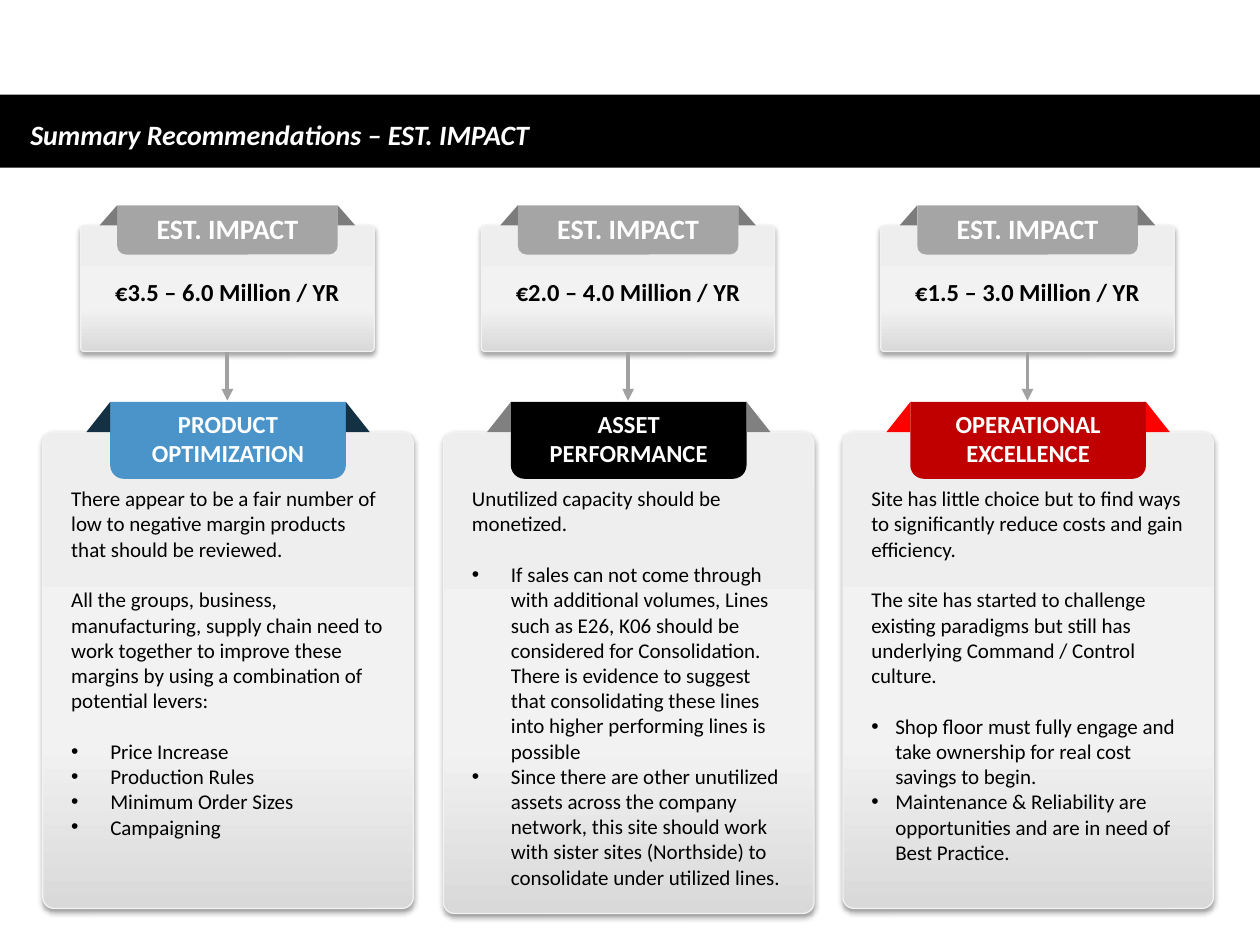
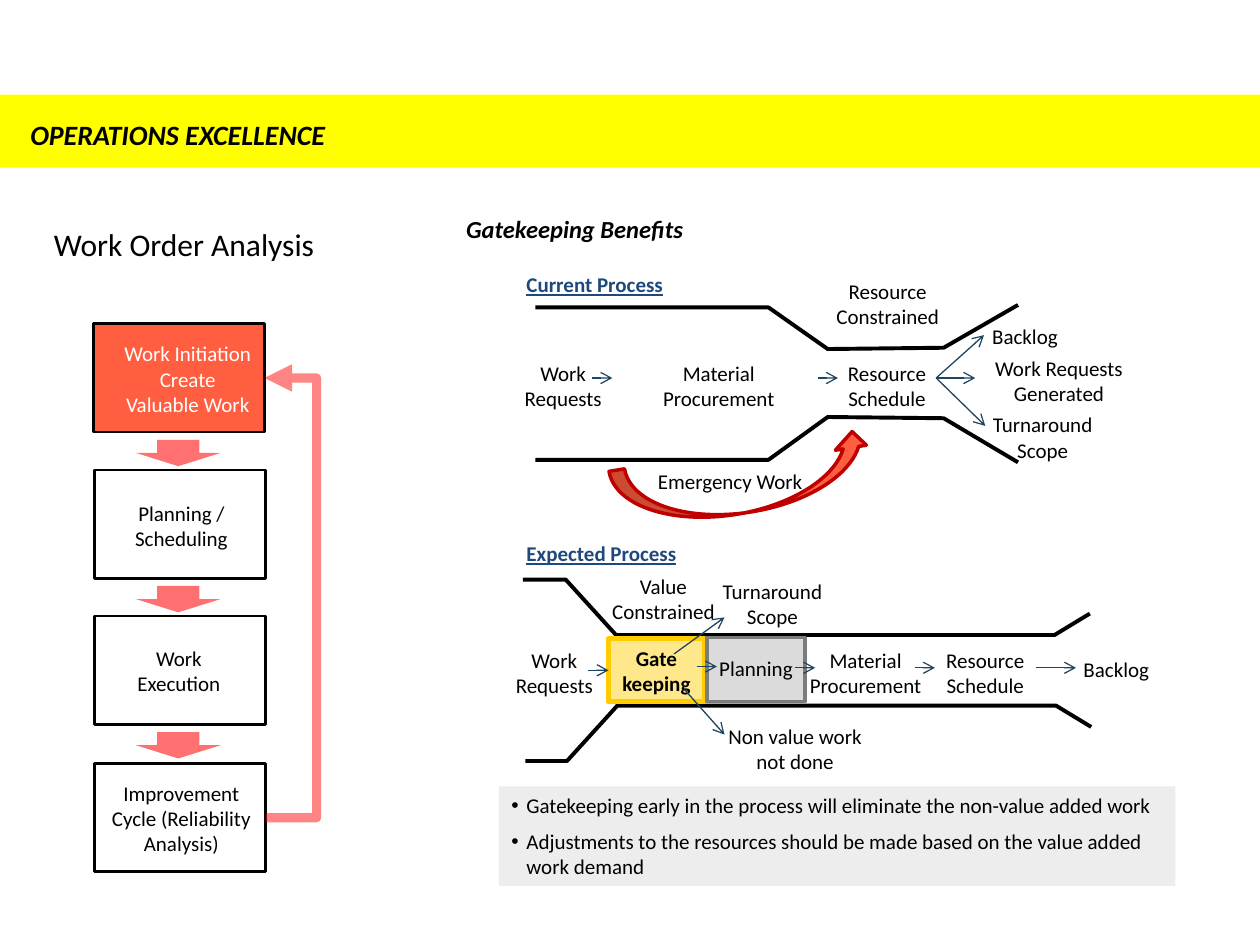
from copy import deepcopy

from lxml.etree import SubElement
from pptx import Presentation
from pptx.dml.color import RGBColor
from pptx.enum.shapes import MSO_CONNECTOR, MSO_SHAPE
from pptx.enum.text import MSO_ANCHOR, MSO_AUTO_SIZE, PP_ALIGN
from pptx.oxml.ns import qn
from pptx.util import Inches, Pt

FONT = "Calibri"
BLACK, WHITE = "000000", "FFFFFF"
CORAL, NAVY = "FF5F40", "1F455F"
CENTER, MIDDLE = PP_ALIGN.CENTER, MSO_ANCHOR.MIDDLE
rgb = RGBColor.from_string


def write(shape, lines, size=12, color=BLACK, bold=False, italic=False, underline=False,
          align=PP_ALIGN.LEFT, anchor=MSO_ANCHOR.TOP, insets=(0.1, 0.05, 0.1, 0.05),
          indent=0.31, gap=0, bullet_gap=0):
    """Fill a shape with one paragraph per line; lines that start with • become bullets."""
    frame = shape.text_frame
    frame.word_wrap = True
    frame.vertical_anchor = anchor
    frame.margin_left, frame.margin_top, frame.margin_right, frame.margin_bottom = map(Inches, insets)
    after_bullet = False
    for number, line in enumerate(lines):
        paragraph = frame.add_paragraph() if number else frame.paragraphs[0]
        paragraph.alignment = align
        is_bullet = line.startswith("• ")
        if is_bullet:
            properties = paragraph._p.get_or_add_pPr()
            properties.set("marL", str(Inches(indent)))
            properties.set("indent", str(-Inches(indent)))
            SubElement(properties, qn("a:buFont"), typeface="Arial")
            SubElement(properties, qn("a:buChar"), char="•")
        if number:
            paragraph.space_before = Pt(bullet_gap if is_bullet and after_bullet else gap)
        after_bullet = is_bullet
        run = paragraph.add_run()
        run.text = line.removeprefix("• ")
        font = run.font
        font.name, font.size, font.color.rgb = FONT, Pt(size), rgb(color)
        font.bold, font.italic, font.underline = bold, italic, underline


def draw(slide, kind, box, fill=None, line=None, width=0.75, opacity=None):
    """Add a preset shape without shadow; box is left, top, width, height in inches."""
    shape = slide.shapes.add_shape(kind, *map(Inches, box))
    shape.shadow.inherit = False
    if fill:
        shape.fill.solid()
        shape.fill.fore_color.rgb = rgb(fill)
        if opacity:
            solid = shape._element.spPr.find(qn("a:solidFill"))
            SubElement(solid[0], qn("a:alpha"), val=str(opacity * 1000))
    else:
        shape.fill.background()
    if line:
        shape.line.color.rgb = rgb(line)
        shape.line.width = Pt(width)
    else:
        shape.line.fill.background()
    return shape


presentation = Presentation()
presentation.slide_width, presentation.slide_height = Inches(10), Inches(7.5)

# Slides with their title bands
slides = []
for title_text, band_color, title_color in (
    ("Summary Recommendations – EST. IMPACT", BLACK, WHITE),
    ("OPERATIONS EXCELLENCE", "FFFF00", BLACK),
):
    slide = presentation.slides.add_slide(presentation.slide_layouts[5])
    band = draw(slide, MSO_SHAPE.RECTANGLE, (0, 0.75, 10, 0.58), band_color)
    title = slide.shapes.title
    band._element.addnext(title._element)
    title.left, title.top, title.width, title.height = map(Inches, (0.14, 0.88, 9.17, 0.37))
    title.text_frame.auto_size = MSO_AUTO_SIZE.NONE
    write(title, [title_text], size=16, color=title_color, bold=True, italic=True)
    slides.append(slide)
summary_slide, operations_slide = slides

# Slide 1: three recommendations, each with its impact card
recommendations = (
    (0.34, 3.78, "PRODUCT OPTIMIZATION", "4A94C9", "143043", "€3.5 – 6.0 Million / YR", 0.31, [
        "There appear to be a fair number of low to negative margin products that should be reviewed.",
        "All the groups, business, manufacturing, supply chain need to work together to improve "
        "these margins by using a combination of potential levers:",
        "• Price Increase",
        "• Production Rules",
        "• Minimum Order Sizes",
        "• Campaigning",
    ]),
    (3.52, 3.82, "ASSET PERFORMANCE", BLACK, "808080", "€2.0 – 4.0 Million / YR", 0.31, [
        "Unutilized capacity should be monetized.",
        "• If sales can not come through with additional volumes, Lines such as E26, K06 should be "
        "considered for Consolidation. There is evidence to suggest that consolidating these lines "
        "into higher performing lines is possible",
        "• Since there are other unutilized assets across the company network, this site should work "
        "with sister sites (Northside) to consolidate under utilized lines.",
    ]),
    (6.69, 3.78, "OPERATIONAL EXCELLENCE", "C00000", "FF0000", "€1.5 – 3.0 Million / YR", 0.19, [
        "Site has little choice but to find ways to significantly reduce costs and gain efficiency.",
        "The site has started to challenge existing paradigms but still has underlying "
        "Command / Control culture.",
        "• Shop floor must fully engage and take ownership for real cost savings to begin.",
        "• Maintenance & Reliability are opportunities and are in need of Best Practice.",
    ]),
)
panel_stops = ((0, "D9D9D9"), (0.35, "F2F2F2"), (1, "EEEEEE"))

for left, panel_height, heading, heading_color, fold_color, impact, indent, advice in recommendations:
    panel_parts = (
        ((left, 3.43, 2.94, panel_height), (1.87, 3.19, 0.61), heading, 14, heading_color, fold_color,
         advice, {"indent": indent, "gap": 14.6}),
        ((left + 0.3, 1.79, 2.33, 1), (1.75, 1.63, 0.39), "EST. IMPACT", 16, "A5A5A5", "7C7C7C",
         [impact], {"size": 14, "bold": True, "align": CENTER}),
    )
    for box, tab, tab_text, tab_size, tab_color, corner_color, lines, text_format in panel_parts:
        # Panel with gradient and soft shadow
        panel = draw(summary_slide, MSO_SHAPE.ROUNDED_RECTANGLE, box, line="F2F2F2")
        panel.adjustments[0] = 0.03
        panel.fill.gradient()
        panel.fill.gradient_angle = 90
        properties = panel._element.spPr
        stop_list = properties.find(".//" + qn("a:gsLst"))
        stop_list.insert(1, deepcopy(stop_list[0]))
        for stop, (position, color) in zip(panel.fill.gradient_stops, panel_stops):
            stop.position, stop.color.rgb = position, rgb(color)
        shadow = SubElement(properties.find(qn("a:effectLst")), qn("a:outerShdw"), blurRad=str(Pt(3.1)),
                            dist=str(Pt(1.6)), dir="5400000", rotWithShape="0")
        shadow_color = SubElement(shadow, qn("a:srgbClr"), val=BLACK)
        SubElement(shadow_color, qn("a:alpha"), val="38000")
        write(panel, lines, insets=(0.2, 0.4, 0.2, 0.05), **text_format)

        # Ribbon tab with a folded corner on each side
        tab_width, tab_top, tab_height = tab
        tab_left = box[0] + (box[2] - tab_width) / 2
        ribbon = draw(summary_slide, MSO_SHAPE.ROUND_2_SAME_RECTANGLE,
                      (tab_left, tab_top, tab_width, tab_height), tab_color)
        ribbon.adjustments[0], ribbon.adjustments[1] = 0, 0.176
        write(ribbon, [tab_text], size=tab_size, color=WHITE, bold=True, align=CENTER, anchor=MIDDLE)
        fold_height = box[1] - tab_top
        fold_width = 0.19 if fold_height > 0.2 else 0.14
        for fold_left, flip in ((tab_left - fold_width, "1"), (tab_left + tab_width, "0")):
            fold = draw(summary_slide, MSO_SHAPE.RIGHT_TRIANGLE,
                        (fold_left, tab_top, fold_width, fold_height), corner_color)
            fold._element.spPr.xfrm.set("flipH", flip)

    # Arrow from the impact card down to the ribbon
    center = panel.left + panel.width // 2
    arrow = summary_slide.shapes.add_connector(MSO_CONNECTOR.STRAIGHT, center, Inches(2.79),
                                               center, Inches(3.18))
    arrow.begin_connect(panel, 2)
    arrow.line.color.rgb, arrow.line.width = rgb("A1A1A1"), Pt(2.25)

# Slide 2: work order cycle
cycle_boxes = []
for left, top, fill in ((0.74, 2.57, CORAL), (0.75, 3.73, None), (0.75, 4.89, None), (0.75, 6.06, None)):
    cycle_boxes.append(draw(operations_slide, MSO_SHAPE.RECTANGLE, (left, top, 1.36, 0.86), fill, BLACK, 1.5))
    if top < 6:
        draw(operations_slide, MSO_SHAPE.DOWN_ARROW, (1.08, top + 0.92, 0.67, 0.21), "FF0000", opacity=56)

feedback = operations_slide.shapes.add_connector(MSO_CONNECTOR.ELBOW, Inches(2.11), Inches(6.49),
                                                 Inches(2.1), Inches(3))
feedback.begin_connect(cycle_boxes[-1], 3)
feedback.end_connect(cycle_boxes[0], 3)
feedback.line.color.rgb, feedback.line.width = rgb("FF0000"), Pt(5.25)
SubElement(feedback._element.spPr.find(".//" + qn("a:srgbClr")), qn("a:alpha"), val="48000")
SubElement(feedback._element.spPr.find(".//" + qn("a:avLst")), qn("a:gd"), name="adj1", fmla="val -4100000")

# Slide 2: funnel outlines
for points in (
    ((4.25, 2.44), (6.1, 2.44), (6.57, 2.77), (7.49, 2.76), (8.08, 2.42)),
    ((4.25, 3.65), (6.1, 3.65), (6.57, 3.31), (7.49, 3.32), (8.08, 3.67)),
    ((4.15, 4.6), (4.49, 4.6), (4.89, 5.04), (8.37, 5.04), (8.65, 4.87)),
    ((4.17, 6.04), (4.5, 6.04), (4.9, 5.6), (8.38, 5.6), (8.66, 5.77)),
):
    corners = [(Inches(x), Inches(y)) for x, y in points]
    builder = operations_slide.shapes.build_freeform(*corners[0])
    builder.add_line_segments(corners[1:], close=False)
    outline = builder.convert_to_shape()
    outline.shadow.inherit = False
    outline.fill.background()
    outline.line.color.rgb, outline.line.width = rgb(BLACK), Pt(2.25)

# Slide 2: process steps, emergency arrow and conclusions
gate = draw(operations_slide, MSO_SHAPE.RECTANGLE, (4.83, 5.07, 0.76, 0.5), "FFCC00", "FFCC00", 3, opacity=45)
write(gate, ["Gate", "keeping"], bold=True, align=CENTER, anchor=MIDDLE)
draw(operations_slide, MSO_SHAPE.RECTANGLE, (5.61, 5.06, 0.78, 0.51), "DBDBDB", "7C7C7C", 2)
emergency = draw(operations_slide, MSO_SHAPE.CURVED_UP_ARROW, (4.86, 3.57, 2.08, 0.5), CORAL, "C00000", 2)
emergency.rotation = 350.7
conclusions = draw(operations_slide, MSO_SHAPE.RECTANGLE, (3.96, 6.24, 5.37, 0.79), "EDEDED")
write(conclusions, [
    "• Gatekeeping early in the process will eliminate the non-value added work",
    "• Adjustments to the resources should be made based on the value added work demand",
], indent=0.12, bullet_gap=6)

# Slide 2: headings and labels
heading_format = {"color": "1F497D", "bold": True, "underline": True}
step_format = {"align": CENTER, "anchor": MIDDLE}
label_format = {"align": CENTER}
for box, lines, text_format in (
    ((0.33, 1.74, 3.33, 0.4), ["Work Order Analysis"], {"size": 18}),
    ((3.6, 1.65, 3.92, 0.34), ["Gatekeeping Benefits"], {"size": 14, "bold": True, "italic": True}),
    ((4.08, 2.11, 2.08, 0.3), ["Current Process"], heading_format),
    ((4.08, 4.24, 2.08, 0.3), ["Expected Process"], heading_format),
    ((0.88, 2.65, 1.22, 0.71), ["Work Initiation", "Create Valuable Work"], {**step_format, "color": WHITE}),
    ((0.83, 3.92, 1.22, 0.5), ["Planning / Scheduling"], step_format),
    ((0.81, 5.07, 1.22, 0.5), ["Work Execution"], step_format),
    ((0.76, 6.14, 1.36, 0.71), ["Improvement Cycle (Reliability Analysis)"], step_format),
    ((4, 2.81, 0.94, 0.39), ["Work Requests"], label_format),
    ((5.16, 2.81, 1.09, 0.39), ["Material Procurement"], label_format),
    ((6.57, 2.81, 0.94, 0.39), ["Resource Schedule"], label_format),
    ((6.52, 2.16, 1.05, 0.5), ["Resource Constrained"], label_format),
    ((7.67, 2.52, 0.93, 0.23), ["Backlog"], label_format),
    ((7.68, 2.77, 1.45, 0.5), ["Work Requests Generated"], label_format),
    ((7.73, 3.22, 1.09, 0.51), ["Turnaround Scope"], label_format),
    ((4.92, 3.67, 1.75, 0.3), ["Emergency Work"], label_format),
    ((3.92, 5.09, 0.96, 0.43), ["Work Requests"], label_format),
    ((4.74, 4.5, 1.05, 0.5), ["Value Constrained"], label_format),
    ((5.59, 4.54, 1.08, 0.51), ["Turnaround Scope"], label_format),
    ((5.61, 5.15, 0.95, 0.26), ["Planning"], {}),
    ((5.67, 5.69, 1.28, 0.43), ["Non value work not done"], label_format),
    ((6.31, 5.09, 1.12, 0.43), ["Material Procurement"], label_format),
    ((7.34, 5.09, 0.96, 0.43), ["Resource Schedule"], label_format),
    ((8.38, 5.16, 0.96, 0.26), ["Backlog"], label_format),
):
    label = operations_slide.shapes.add_textbox(*map(Inches, box))
    label.text_frame.auto_size = MSO_AUTO_SIZE.SHAPE_TO_FIT_TEXT
    write(label, lines, **text_format)

# Slide 2: flow arrows, the last one leading into the gate
for ends in (
    (4.7, 3, 4.86, 3), (6.49, 3, 6.65, 3),
    (7.43, 3, 7.81, 2.66), (7.43, 3, 7.74, 3), (7.43, 3, 7.82, 3.38),
    (5.35, 5.19, 5.75, 4.9), (5.43, 5.47, 5.75, 5.83), (5.53, 5.29, 5.69, 5.29),
    (6.31, 5.3, 6.47, 5.3), (7.26, 5.3, 7.42, 5.3), (8.22, 5.3, 8.54, 5.3),
    (4.67, 5.32, 4.83, 5.32),
):
    flow = operations_slide.shapes.add_connector(MSO_CONNECTOR.STRAIGHT, *map(Inches, ends))
    flow.line.color.rgb, flow.line.width = rgb(NAVY), Pt(0.75)
flow.end_connect(gate, 1)

# Arrowheads, and no shadow, for every connector
for slide in slides:
    for connector in slide.shapes._spTree.findall(qn("p:cxnSp")):
        line = connector.spPr.find(qn("a:ln"))
        head = "triangle" if int(line.get("w")) > Pt(1) else "arrow"
        SubElement(line, qn("a:tailEnd"), type=head)
        SubElement(connector.spPr, qn("a:effectLst"))

presentation.save("out.pptx")
